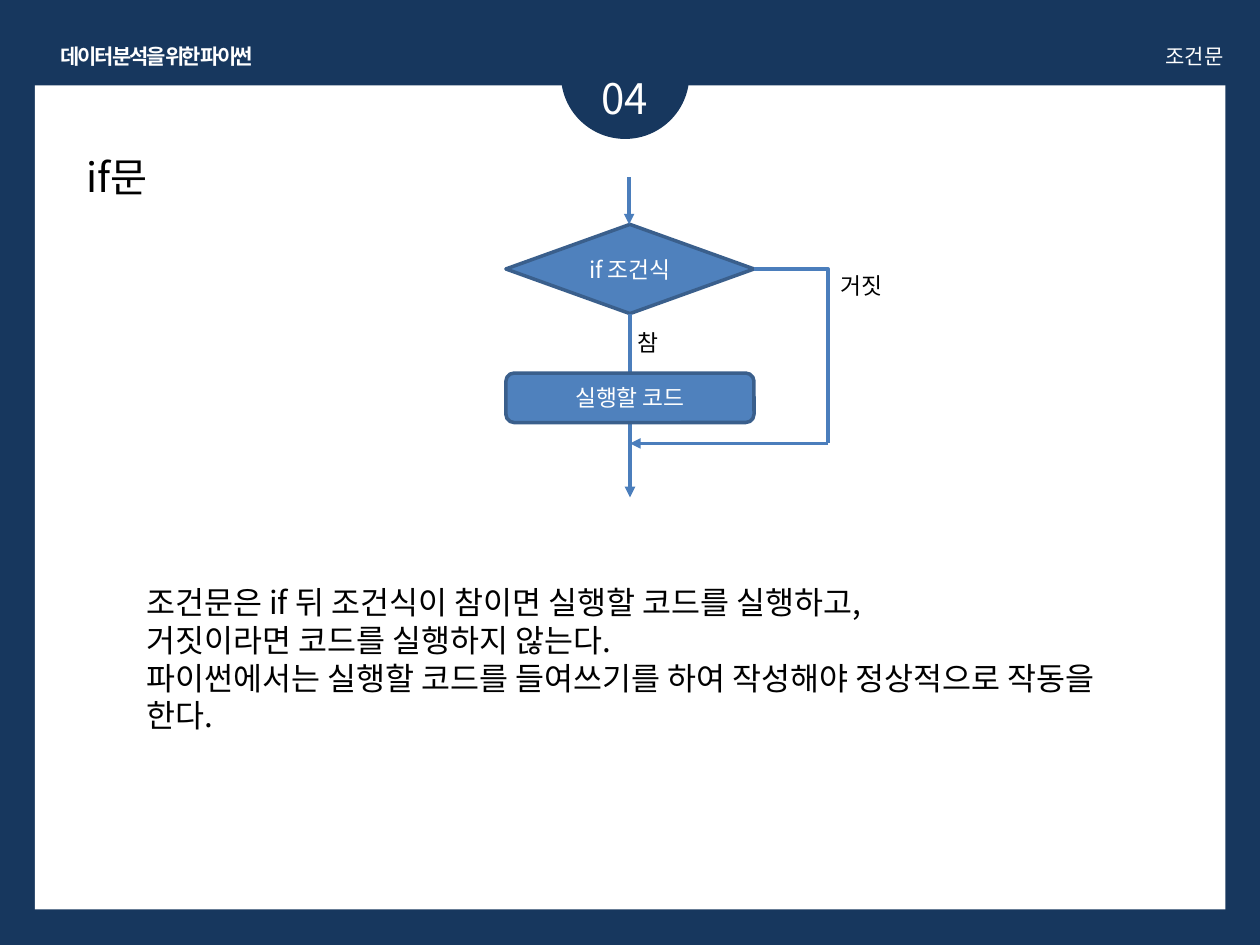
from lxml.etree import SubElement
from pptx import Presentation
from pptx.dml.color import RGBColor
from pptx.enum.shapes import MSO_CONNECTOR, MSO_SHAPE
from pptx.enum.text import MSO_ANCHOR, PP_ALIGN
from pptx.oxml.ns import qn
from pptx.util import Pt

NAVY = RGBColor(0x17, 0x37, 0x5E)
WHITE = RGBColor(0xFF, 0xFF, 0xFF)
BLACK = RGBColor(0, 0, 0)
BLUE = RGBColor(0x4F, 0x81, 0xBD)
EDGE = RGBColor(0x3A, 0x5F, 0x8C)
WIRE = RGBColor(0x4B, 0x7E, 0xBC)


class Deck:
    font = "Noto Sans CJK KR"
    width = Pt(2)

    def __init__(self, slide):
        self.slide = slide

    def fill_text(self, frame, text, size, color, align, bold=False, track=0):
        """Fill a frame, one paragraph a line; track is letter spacing in points."""
        frame.text = text
        for para in frame.paragraphs:
            para.alignment = align
            for run in para.runs:
                run.font.name = self.font
                run.font.size = Pt(size)
                run.font.bold = bold
                run.font.color.rgb = color
                props = run.font._element
                SubElement(props, qn("a:ea"), typeface=self.font)
                if track:
                    props.set("spc", str(int(track * 100)))

    def label(self, box, text, size, color=BLACK, align=PP_ALIGN.LEFT, wrap=True, **style):
        frame = self.slide.shapes.add_textbox(*map(Pt, box)).text_frame
        frame.word_wrap = wrap
        self.fill_text(frame, text, size, color, align, **style)

    def shape(self, kind, box, fill, edge=None):
        item = self.slide.shapes.add_shape(kind, *map(Pt, box))
        item.shadow.inherit = False
        item.fill.solid()
        item.fill.fore_color.rgb = fill
        if edge is None:
            item.line.fill.background()
        else:
            item.line.color.rgb = edge
            item.line.width = self.width
        return item

    def node(self, kind, box, text):
        item = self.shape(kind, box, BLUE, EDGE)
        item.text_frame.vertical_anchor = MSO_ANCHOR.MIDDLE
        self.fill_text(item.text_frame, text, 13, WHITE, PP_ALIGN.CENTER)

    def wire(self, start, end, arrow=True, bent=False):
        kind = MSO_CONNECTOR.ELBOW if bent else MSO_CONNECTOR.STRAIGHT
        item = self.slide.shapes.add_connector(kind, *map(Pt, start + end))
        item.line.color.rgb = WIRE
        item.line.width = self.width
        props = item._element.spPr
        if bent:
            props.find(qn("a:prstGeom")).set("prst", "bentConnector2")
        if arrow:
            SubElement(props.find(qn("a:ln")), qn("a:tailEnd"), type="triangle")
        SubElement(props, qn("a:effectLst"))


def main():
    show = Presentation()
    show.slide_width, show.slide_height = Pt(720), Pt(540)
    slide = show.slides.add_slide(show.slide_layouts[6])
    slide.background.fill.solid()
    slide.background.fill.fore_color.rgb = NAVY
    deck = Deck(slide)

    # Page frame and headings
    deck.shape(MSO_SHAPE.RECTANGLE, (20, 48.8, 680.2, 470.8), WHITE)
    deck.shape(MSO_SHAPE.OVAL, (320.5, 6, 73.4, 73.4), NAVY)
    deck.label((20, 21.3, 139.5, 21.8), "데이터 분석을 위한 파이썬", 12, WHITE,
               PP_ALIGN.CENTER, wrap=False, bold=True, track=-1.5)
    deck.label((314.6, 37.7, 85, 36), "04", 24, WHITE, PP_ALIGN.CENTER)
    deck.label((422.6, 21.3, 283.7, 21.8), "조건문", 12, WHITE, PP_ALIGN.RIGHT)
    deck.label((76.6, 329.6, 566.6, 94.5),
               "조건문은 if 뒤 조건식이 참이면 실행할 코드를 실행하고,\n"
               "거짓이라면 코드를 실행하지 않는다.\n"
               "파이썬에서는 실행할 코드를 들여쓰기를 하여 작성해야 정상적으로 작동을 한다.", 18)
    deck.label((42.5, 83.5, 629, 35.5), "if문", 23)

    # Flow chart
    mid, left, wide = 360, 289.1, 141.8
    side, top, join = 473.3, 128.2, 253.4
    high = 51
    test = top + high / 2
    deck.node(MSO_SHAPE.DIAMOND, (left, top, wide, high), "if 조건식")
    deck.wire((mid - 0.5, 101.2), (mid - 0.5, top))
    deck.wire((mid, top + high), (mid, 284.2))
    deck.node(MSO_SHAPE.ROUNDED_RECTANGLE, (left, 213.2, wide, 28.3), "실행할 코드")
    deck.wire((left + wide, test), (side, join), arrow=False, bent=True)
    deck.wire((side, join), (mid, join))
    deck.label((357.2, 184.4, 25.5, 23), "참", 13)
    deck.label((side, 151.6, 48.2, 23), "거짓", 13)

    show.save("out.pptx")


if __name__ == "__main__":
    main()
